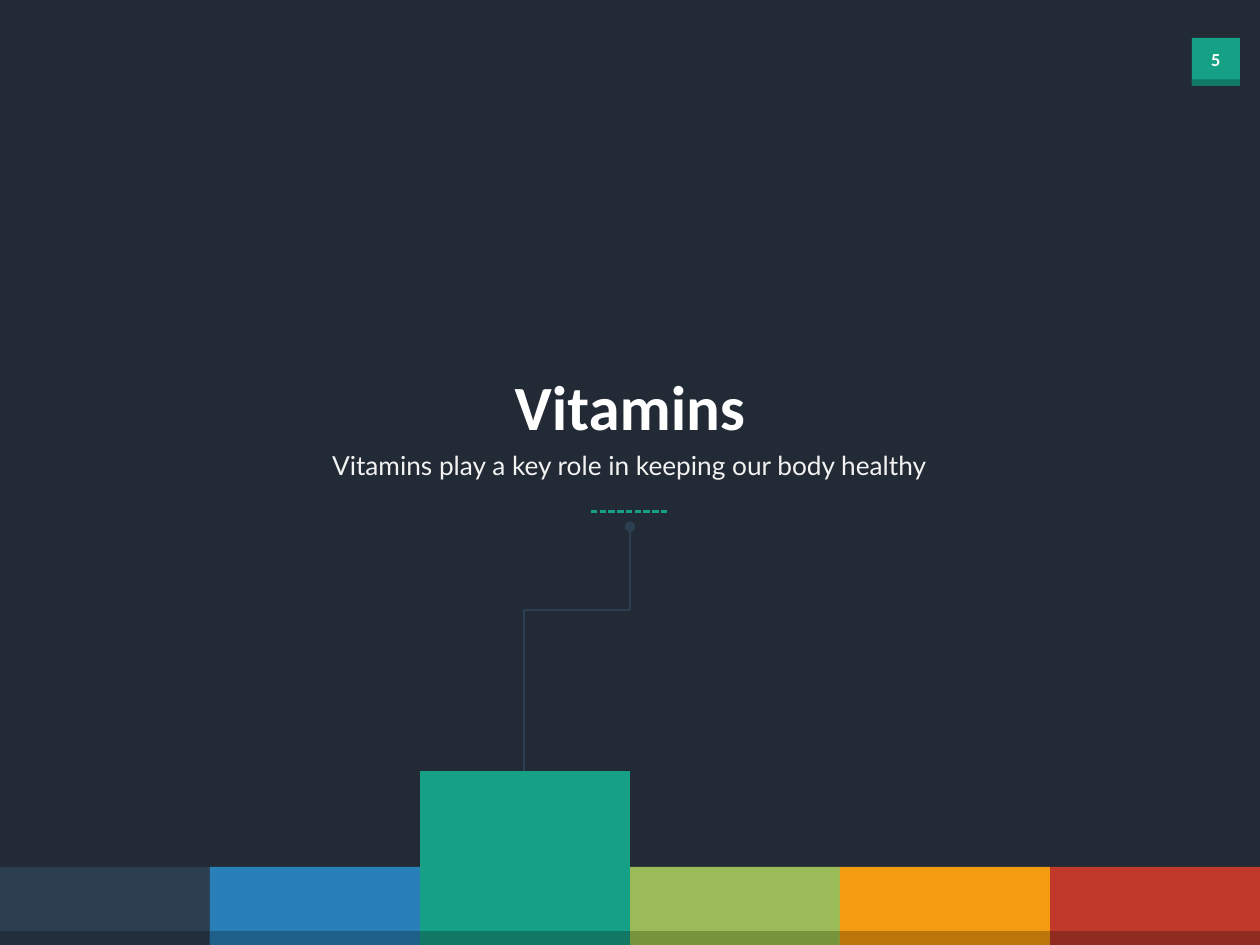
from dataclasses import dataclass

import pptx
import pptx.dml.color
import pptx.enum.dml
import pptx.enum.shapes
import pptx.enum.text
import pptx.oxml
import pptx.oxml.ns
import pptx.util
from pptx.util import Inches


@dataclass(frozen=True)
class Theme:
    background: str = "222A35"
    accent: str = "16A085"
    accent_shade: str = "107864"
    navy: str = "2C3F50"
    white: str = "FFFFFF"
    soft_white: str = "F2F2F2"
    heading_font: str = "Calibri"
    body_font: str = "Lato"
    title_size: float = 36
    subtitle_size: float = 15
    number_size: float = 10.5
    line_width: float = 1.25


@dataclass(frozen=True)
class Section:
    color: str
    shade: str
    height: float = 0.62


@dataclass(frozen=True)
class Label:
    text: str
    left: float
    top: float
    width: float
    height: float
    size: float
    font: str
    color: str
    bold: bool = False
    wrap: bool = False


@dataclass(frozen=True)
class Line:
    start: tuple[float, float]
    end: tuple[float, float]
    color: str
    dashed: bool = False
    dot_at_start: bool = False


THEME = Theme()
SLIDE_WIDTH, SLIDE_HEIGHT = 10, 7.5
SHADE_HEIGHT = 0.11

SECTIONS = [
    Section(THEME.navy, "212F3C"),
    Section("2980B9", "1F608B"),
    Section(THEME.accent, THEME.accent_shade, 1.38),
    Section("9BBB59", "77933C"),
    Section("F39C12", "BA7609"),
    Section("C0392B", "902B20"),
]
LABELS = [
    Label("5", 9.46, 0.33, 0.38, 0.28, THEME.number_size,
          THEME.heading_font, THEME.white, bold=True),
    Label("Vitamins", 3.97, 2.87, 2.06, 0.71, THEME.title_size,
          THEME.heading_font, THEME.white, bold=True),
    Label("Vitamins play a key role in keeping our body healthy",
          1.74, 3.52, 6.51, 0.35, THEME.subtitle_size,
          THEME.body_font, THEME.soft_white, wrap=True),
]
LINES = [
    Line((4.16, 4.84), (5, 4.84), THEME.navy),
    Line((4.16, 4.84), (4.16, 6.12), THEME.navy),
    Line((4.69, 4.06), (5.31, 4.06), THEME.accent, dashed=True),
    Line((5, 4.18), (5, 4.84), THEME.navy, dot_at_start=True),
]


def rgb(color: str) -> pptx.dml.color.RGBColor:
    return pptx.dml.color.RGBColor.from_string(color)


def add_block(slide, left: float, top: float, width: float, height: float, color: str) -> None:
    block = slide.shapes.add_shape(
        pptx.enum.shapes.MSO_SHAPE.RECTANGLE,
        Inches(left), Inches(top), Inches(width), Inches(height),
    )
    block.shadow.inherit = False
    block.fill.solid()
    block.fill.fore_color.rgb = rgb(color)
    block.line.fill.background()


def add_label(slide, label: Label) -> None:
    box = slide.shapes.add_textbox(
        Inches(label.left), Inches(label.top), Inches(label.width), Inches(label.height)
    )
    frame = box.text_frame
    frame.word_wrap = label.wrap
    frame.auto_size = pptx.enum.text.MSO_AUTO_SIZE.SHAPE_TO_FIT_TEXT
    paragraph = frame.paragraphs[0]
    paragraph.text = label.text
    paragraph.alignment = pptx.enum.text.PP_ALIGN.CENTER
    paragraph.font.name = label.font
    paragraph.font.size = pptx.util.Pt(label.size)
    paragraph.font.bold = label.bold
    paragraph.font.color.rgb = rgb(label.color)


def add_line(slide, line: Line) -> None:
    connector = slide.shapes.add_connector(
        pptx.enum.shapes.MSO_CONNECTOR.STRAIGHT,
        *(Inches(value) for value in line.start + line.end),
    )
    connector.line.width = pptx.util.Pt(THEME.line_width)
    connector.line.color.rgb = rgb(line.color)
    if line.dashed:
        connector.line.dash_style = pptx.enum.dml.MSO_LINE.SQUARE_DOT
    namespace = pptx.oxml.ns.nsdecls("a")
    properties = connector.line._get_or_add_ln()
    if line.dot_at_start:
        properties.append(pptx.oxml.parse_xml(f'<a:headEnd {namespace} type="oval"/>'))
    properties.addnext(pptx.oxml.parse_xml(f"<a:effectLst {namespace}/>"))


def build() -> None:
    presentation = pptx.Presentation()
    presentation.slide_width = Inches(SLIDE_WIDTH)
    presentation.slide_height = Inches(SLIDE_HEIGHT)
    slide = presentation.slides.add_slide(presentation.slide_layouts[6])
    slide.background.fill.solid()
    slide.background.fill.fore_color.rgb = rgb(THEME.background)

    add_block(slide, 9.46, 0.3, 0.38, 0.38, THEME.accent)
    add_block(slide, 9.46, 0.63, 0.38, 0.05, THEME.accent_shade)

    section_width = SLIDE_WIDTH / len(SECTIONS)
    for index, section in enumerate(SECTIONS):
        for height, color in ((section.height, section.color), (SHADE_HEIGHT, section.shade)):
            add_block(slide, index * section_width, SLIDE_HEIGHT - height,
                      section_width, height, color)

    for line in LINES:
        add_line(slide, line)
    for label in LABELS:
        add_label(slide, label)
    presentation.save("out.pptx")


build()
